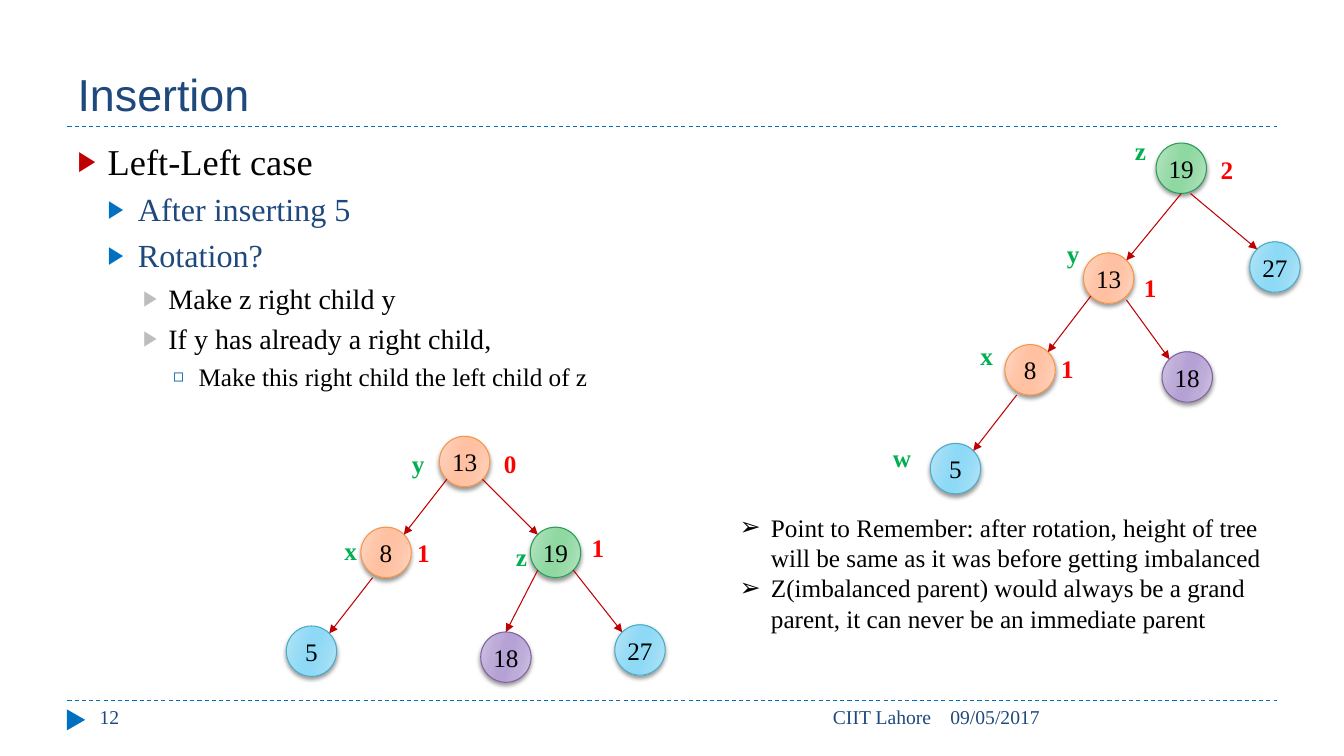
from dataclasses import dataclass

from lxml.etree import SubElement
from pptx import Presentation
from pptx.dml.color import RGBColor
from pptx.enum.dml import MSO_LINE_DASH_STYLE as Dash
from pptx.enum.shapes import MSO_CONNECTOR as Connector, MSO_SHAPE as Shape
from pptx.enum.text import MSO_ANCHOR as Anchor, MSO_AUTO_SIZE as AutoSize, PP_ALIGN as Align
from pptx.oxml.ns import qn
from pptx.util import Cm, Pt


@dataclass(frozen=True)
class Theme:
    heading_font: str = "Arial"
    body_font: str = "Times New Roman"
    text: str = "000000"
    navy: str = "1F497D"
    blue: str = "0070C0"
    edge: str = "C00000"
    balance: str = "FF0000"
    name: str = "00B050"
    title_size: int = 32
    node_size: int = 18
    footer_size: int = 14
    hairline: float = 0.75
    # size, colour, space before, bullet, bullet colour, bullet %, indent, hanging
    levels: tuple = (
        (26, "000000", 6, "▶", "C00000", 76, 0.76, 0.76),
        (23, "1F497D", 5, "▶", "0070C0", 76, 1.52, 0.76),
        (20, "000000", 5, "▶", "BDBDBD", 76, 2.29, 0.64),
        (18, "000000", 4, "◻", "0063A9", 70, 3.05, 0.64),
    )
    # outline, then gradient from rim to core
    orange: tuple = ("F79646", "FFD7C5", "FFC6AA", "FFC1A1")
    green: tuple = ("279D57", "BBE4C5", "9BDBAB", "8FD8A1")
    sky: tuple = ("4BACC6", "B9E5F7", "99DCF6", "8DD9F6")
    purple: tuple = ("8064A2", "D1C5E3", "BDABD8", "B6A1D5")


THEME = Theme()
DIAMETER = 1.27
R = DIAMETER / 2
D = R * 0.707
TOP, BOTTOM = (0, -R), (0, R)
TL, TR, BL, BR = (-D, -D), (D, -D), (-D, D), (D, D)

OUTLINE = [
    (0, "Left-Left case"),
    (1, "After inserting 5"),
    (1, "Rotation?"),
    (2, "Make z right child y"),
    (2, "If y has already a right child,"),
    (3, "Make this right child the left child of z"),
]
REMEMBER = [
    "Point to Remember: after rotation, height of tree will be same as it was before getting imbalanced",
    "Z(imbalanced parent) would always be a grand parent, it can never be an immediate parent",
]

# nodes: value -> tone, centre; edges: parent, exit offset, child, entry offset
BEFORE = dict(
    nodes={
        19: (THEME.green, 29.77, 4.24),
        13: (THEME.orange, 27.94, 7.01),
        27: (THEME.sky, 32.13, 6.73),
        8: (THEME.orange, 25.96, 9.32),
        18: (THEME.purple, 29.92, 9.5),
        5: (THEME.sky, 24.08, 11.81),
    },
    edges=[(19, BOTTOM, 13, TR), (19, (0.23, R), 27, TL), (13, BL, 8, TR),
           (13, (D, 0.55), 18, TL), (8, (-0.34, R), 5, TR)],
    names=[("z", 28.35, 3.28), ("y", 26.64, 5.89), ("x", 24.46, 8.46), ("w", 22.25, 11.02)],
    balances=[("2", 30.51, 3.76), ("1", 28.58, 6.73), ("1", 26.49, 8.79)],
)
AFTER = dict(
    nodes={
        13: (THEME.orange, 11.71, 11.63),
        8: (THEME.orange, 9.73, 13.92),
        19: (THEME.green, 14.0, 13.92),
        5: (THEME.sky, 7.85, 16.41),
        18: (THEME.purple, 12.75, 16.56),
        27: (THEME.sky, 16.13, 16.38),
    },
    edges=[(13, BL, 8, TR), (13, BR, 19, TL), (8, (-0.34, R), 5, TR),
           (19, BL, 18, TOP), (19, BR, 27, TL)],
    names=[("y", 10.13, 11.18), ("x", 8.43, 13.36), ("z", 12.75, 13.51)],
    balances=[("0", 12.45, 11.18), ("1", 10.26, 13.41), ("1", 14.66, 13.28)],
)


def rgb(value):
    return RGBColor.from_string(value)


def write(p, text, size=18, color=THEME.text, font=THEME.body_font, bold=False,
          align=Align.LEFT, before=0):
    p.alignment, p.space_before = align, Pt(before)
    r = p.add_run()
    r.text = text
    r.font.name, r.font.size, r.font.bold = font, Pt(size), bold
    r.font.color.rgb = rgb(color)


def set_bullet(p, char, indent, hanging, color=None, percent=100):
    pPr = p._p.get_or_add_pPr()
    pPr.set("marL", str(Cm(indent)))
    pPr.set("indent", str(-Cm(hanging)))
    if color:
        SubElement(SubElement(pPr, qn("a:buClr")), qn("a:srgbClr"), val=color)
    SubElement(pPr, qn("a:buSzPct"), val=str(percent * 1000))
    SubElement(pPr, qn("a:buFont"), typeface=THEME.heading_font)
    SubElement(pPr, qn("a:buChar"), char=char)


def paragraphs(tf, count):
    return [tf.paragraphs[0]] + [tf.add_paragraph() for _ in range(count - 1)]


class TreeSlide:
    def __init__(self, prs, theme):
        self.theme = theme
        self.s = prs.slides.add_slide(prs.slide_layouts[1])

    def place(self, sp, x, y, w, h):
        sp.left, sp.top, sp.width, sp.height = Cm(x), Cm(y), Cm(w), Cm(h)
        sp.text_frame.auto_size = AutoSize.NONE
        return sp.text_frame

    def title(self, text):
        tf = self.place(self.s.shapes.title, 1.7, 0.43, 30.48, 2.74)
        tf.vertical_anchor = Anchor.BOTTOM
        write(tf.paragraphs[0], text, size=self.theme.title_size,
              color=self.theme.navy, font=self.theme.heading_font)

    def body(self, items):
        tf = self.place(self.s.placeholders[1], 1.7, 3.38, 30.48, 13.72)
        for i, (p, (level, text)) in enumerate(zip(paragraphs(tf, len(items)), items)):
            size, color, before, char, tint, percent, indent, hanging = self.theme.levels[level]
            p.level = level
            set_bullet(p, char, indent, hanging, tint, percent)
            write(p, text, size=size, color=color, before=before if i else 0)

    def box(self, x, y, w, h, wrap=True):
        tf = self.s.shapes.add_textbox(Cm(x), Cm(y), Cm(w), Cm(h)).text_frame
        tf.word_wrap = wrap
        return tf

    def label(self, text, x, y, color):
        width = {"z": 0.79, "w": 0.97}.get(text, 0.84)
        tf = self.box(x, y, width, 1.02, wrap=False)
        tf.auto_size = AutoSize.SHAPE_TO_FIT_TEXT
        write(tf.paragraphs[0], text, size=self.theme.node_size, color=color, bold=True)

    def notes(self, items):
        tf = self.box(17.12, 12.78, 15.65, 3.33)
        for p, text in zip(paragraphs(tf, len(items)), items):
            p.level = 1
            set_bullet(p, "➢", 2.06, 0.79)
            write(p, text)

    def line(self, x1, y1, x2, y2, color):
        c = self.s.shapes.add_connector(Connector.STRAIGHT, Cm(x1), Cm(y1), Cm(x2), Cm(y2))
        c.line.color.rgb, c.line.width = rgb(color), Pt(self.theme.hairline)
        SubElement(c._element.spPr, qn("a:effectLst"))
        return c.line

    def rule(self, y):
        self.line(1.7, y, 32.18, y, self.theme.blue).dash_style = Dash.DASH

    def arrow(self, *ends):
        ln = self.line(*ends, self.theme.edge)
        SubElement(ln._ln, qn("a:tailEnd"), type="triangle")

    def node(self, value, tone, x, y):
        sp = self.s.shapes.add_shape(Shape.OVAL, Cm(x - R), Cm(y - R), Cm(DIAMETER), Cm(DIAMETER))
        outline, rim, mid, core = tone
        sp.fill.gradient()
        sp.fill.gradient_angle = 344
        stops = sp._element.spPr.find(".//" + qn("a:gsLst"))
        stops.clear()
        for pos, color in zip((0, 30, 45, 55, 73, 100), (rim, mid, core, core, mid, rim)):
            gs = SubElement(stops, qn("a:gs"), pos=str(pos * 1000))
            SubElement(gs, qn("a:srgbClr"), val=color)
        sp.line.color.rgb, sp.line.width = rgb(outline), Pt(self.theme.hairline)
        sp.shadow.inherit = False
        shadow = SubElement(sp._element.spPr.find(qn("a:effectLst")), qn("a:outerShdw"),
                            blurRad=str(Pt(3)), dist=str(Pt(2)), dir="5400000", rotWithShape="0")
        SubElement(SubElement(shadow, qn("a:srgbClr"), val="000000"), qn("a:alpha"), val="40000")
        tf = sp.text_frame
        tf.margin_left = tf.margin_right = 0
        tf.vertical_anchor = Anchor.MIDDLE
        write(tf.paragraphs[0], str(value), size=self.theme.node_size, align=Align.CENTER)

    def tree(self, nodes, edges, names, balances):
        for value, (tone, x, y) in nodes.items():
            self.node(value, tone, x, y)
        for parent, (dx1, dy1), child, (dx2, dy2) in edges:
            (_, x1, y1), (_, x2, y2) = nodes[parent], nodes[child]
            self.arrow(x1 + dx1, y1 + dy1, x2 + dx2, y2 + dy2)
        for labels, color in ((names, self.theme.name), (balances, self.theme.balance)):
            for label in labels:
                self.label(*label, color)

    def footer(self, number, place, date):
        marker = self.s.shapes.add_shape(Shape.ISOSCELES_TRIANGLE, Cm(1.65), Cm(17.91), Cm(0.53), Cm(0.46))
        marker.rotation = 90
        marker.shadow.inherit = False
        marker.fill.solid()
        marker.fill.fore_color.rgb = rgb(self.theme.blue)
        marker.line.fill.background()
        for text, x, w, align in ((number, 2.26, 7.34, Align.LEFT), (place, 10.74, 12.98, Align.RIGHT),
                                  (date, 23.7, 8.48, Align.LEFT)):
            write(self.box(x, 17.65, w, 1.02).paragraphs[0], text,
                  size=self.theme.footer_size, color=self.theme.navy, align=align)


def main():
    prs = Presentation()
    prs.slide_width, prs.slide_height = Cm(33.87), Cm(19.05)
    slide = TreeSlide(prs, THEME)
    for y in (3.18, 17.65):
        slide.rule(y)
    slide.title("Insertion")
    slide.body(OUTLINE)
    slide.tree(**BEFORE)
    slide.tree(**AFTER)
    slide.notes(REMEMBER)
    slide.footer("12", "CIIT Lahore", "09/05/2017")
    prs.save("out.pptx")


if __name__ == "__main__":
    main()
